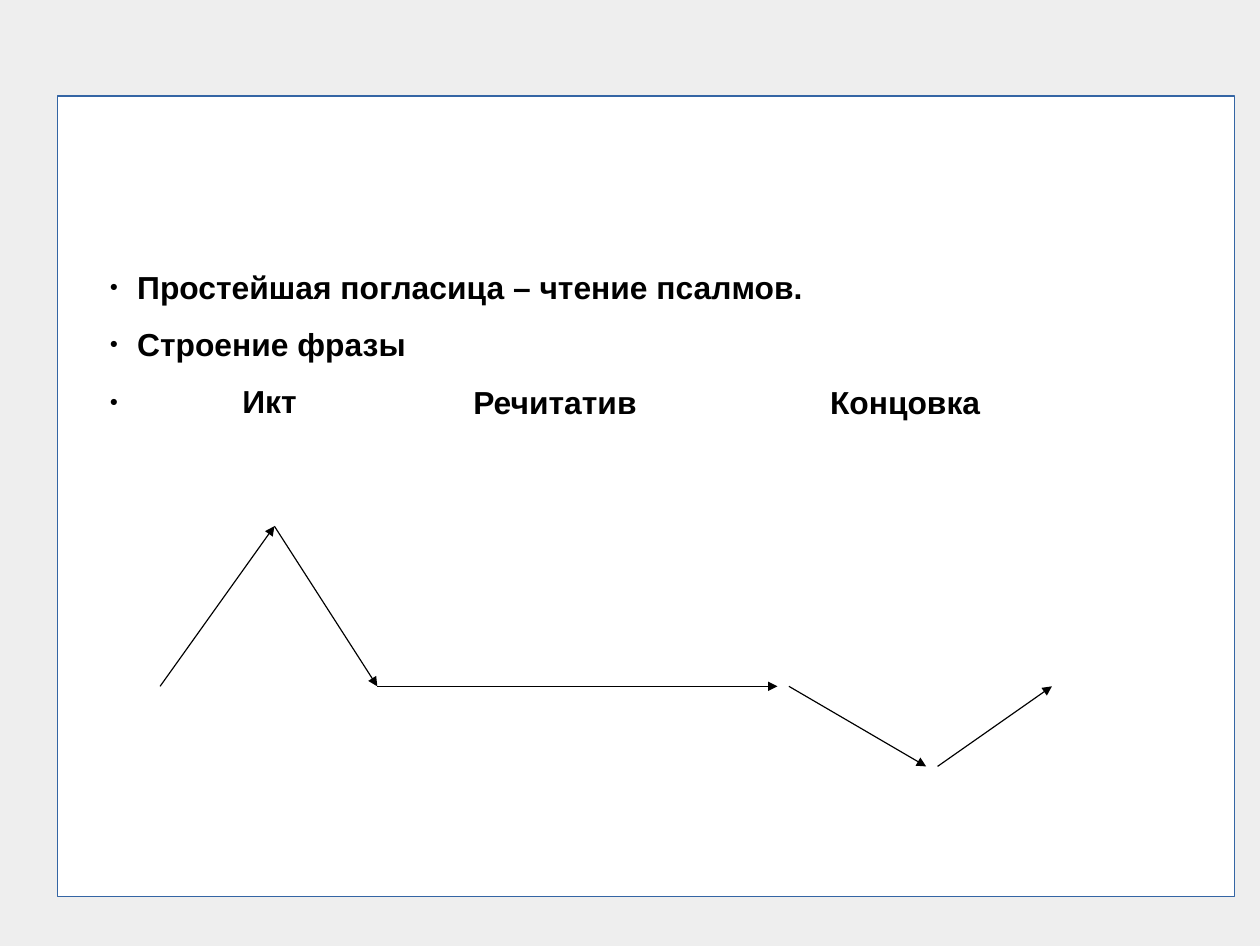
from lxml import etree
from pptx import Presentation
from pptx import util as u
from pptx.dml.color import RGBColor
from pptx.enum import shapes, text
from pptx.oxml import ns

GRAY = RGBColor(0xEE, 0xEE, 0xEE)
WHITE = RGBColor(0xFF, 0xFF, 0xFF)
BLUE = RGBColor(0x34, 0x65, 0xA4)
BLACK = RGBColor(0, 0, 0)

CELL = 0.1
LINE_ROWS = 5.04
FIRST_ROW = 21.69
TEXT_COLUMN = 9.6
BULLET_INDENT = 2.4

BULLETS = [
    ("Простейшая погласица – чтение псалмов.", BULLET_INDENT),
    ("Строение фразы", BULLET_INDENT),
    ("Икт", 11.6),
]
LABELS = [("Речитатив", 41.4), ("Концовка", 72.6)]
MELODY = [
    [(14, 60), (24, 46), (33, 60), (68, 60)],
    [(69, 60), (81, 67)],
    [(82, 67), (92, 60)],
]


def cells(count):
    """Convert a number of grid cells to a length."""
    return u.Inches(count * CELL)


def add_frame(page, column, row, columns, rows):
    """Draw the white panel with its blue outline."""
    frame = page.shapes.add_shape(
        shapes.MSO_SHAPE.RECTANGLE, *map(cells, (column, row, columns, rows)))
    frame.shadow.inherit = False
    frame.fill.solid()
    frame.fill.fore_color.rgb = WHITE
    frame.line.color.rgb = BLUE
    frame.line.width = u.Pt(0.75)


def add_text_box(page, column, row, columns, rows):
    """Add a wrapping text box without margins and return its frame."""
    box = page.shapes.add_textbox(*map(cells, (column, row, columns, rows)))
    frame = box.text_frame
    frame.word_wrap = True
    frame.vertical_anchor = text.MSO_ANCHOR.MIDDLE
    frame.margin_left = frame.margin_right = 0
    frame.margin_top = frame.margin_bottom = 0
    return frame


def write(para, words, size=20, bold=True, color=BLACK, spacing=1.5):
    """Fill a paragraph with formatted words."""
    para.line_spacing = spacing
    span = para.add_run()
    span.text = words
    span.font.name = "Arial"
    span.font.size = u.Pt(size)
    span.font.bold = bold
    span.font.color.rgb = color


def add_bullet(para, indent):
    """Give a paragraph a small black bullet and a hanging indent."""
    props = para._p.get_or_add_pPr()
    props.set("marL", str(cells(indent)))
    props.set("indent", str(-cells(indent)))
    color = etree.SubElement(props, ns.qn("a:buClr"))
    etree.SubElement(color, ns.qn("a:srgbClr"), val=str(BLACK))
    etree.SubElement(props, ns.qn("a:buSzPct"), val="45000")
    etree.SubElement(props, ns.qn("a:buFont"), typeface="Arial")
    etree.SubElement(props, ns.qn("a:buChar"), char="●")


def add_bullet_list(page):
    """Write the bulleted lines."""
    frame = add_text_box(page, TEXT_COLUMN, FIRST_ROW, 93,
                         LINE_ROWS * len(BULLETS))
    for index, (words, indent) in enumerate(BULLETS):
        para = frame.add_paragraph() if index else frame.paragraphs[0]
        write(para, words)
        add_bullet(para, indent)


def add_labels(page):
    """Write the other phrase parts level with the last bullet."""
    row = FIRST_ROW + LINE_ROWS * (len(BULLETS) - 1)
    for words, column in LABELS:
        frame = add_text_box(page, column, row, 20, LINE_ROWS)
        write(frame.paragraphs[0], words)


def add_arrow(group, start, end):
    """Draw a thin black arrow between two grid points."""
    arrow = group.shapes.add_connector(
        shapes.MSO_CONNECTOR.STRAIGHT, *map(cells, start + end))
    arrow.line.color.rgb = BLACK
    arrow.line.width = u.Pt(0.75)
    etree.SubElement(arrow.line._get_or_add_ln(), ns.qn("a:tailEnd"),
                     type="triangle")
    etree.SubElement(arrow._element.spPr, ns.qn("a:effectLst"))


def add_melody(page):
    """Draw the melodic contour as a group of arrows."""
    group = page.shapes.add_group_shape()
    for points in MELODY:
        for start, end in zip(points, points[1:]):
            add_arrow(group, start, end)


def main():
    """Build and save the slide."""
    deck = Presentation()
    deck.slide_width, deck.slide_height = u.Inches(11.02), u.Inches(8.27)
    page = deck.slides.add_slide(deck.slide_layouts[6])
    page.background.fill.solid()
    page.background.fill.fore_color.rgb = GRAY
    add_frame(page, 5, 8.4, 103, 70)
    add_bullet_list(page)
    add_labels(page)
    add_melody(page)
    deck.save("out.pptx")


if __name__ == "__main__":
    main()
